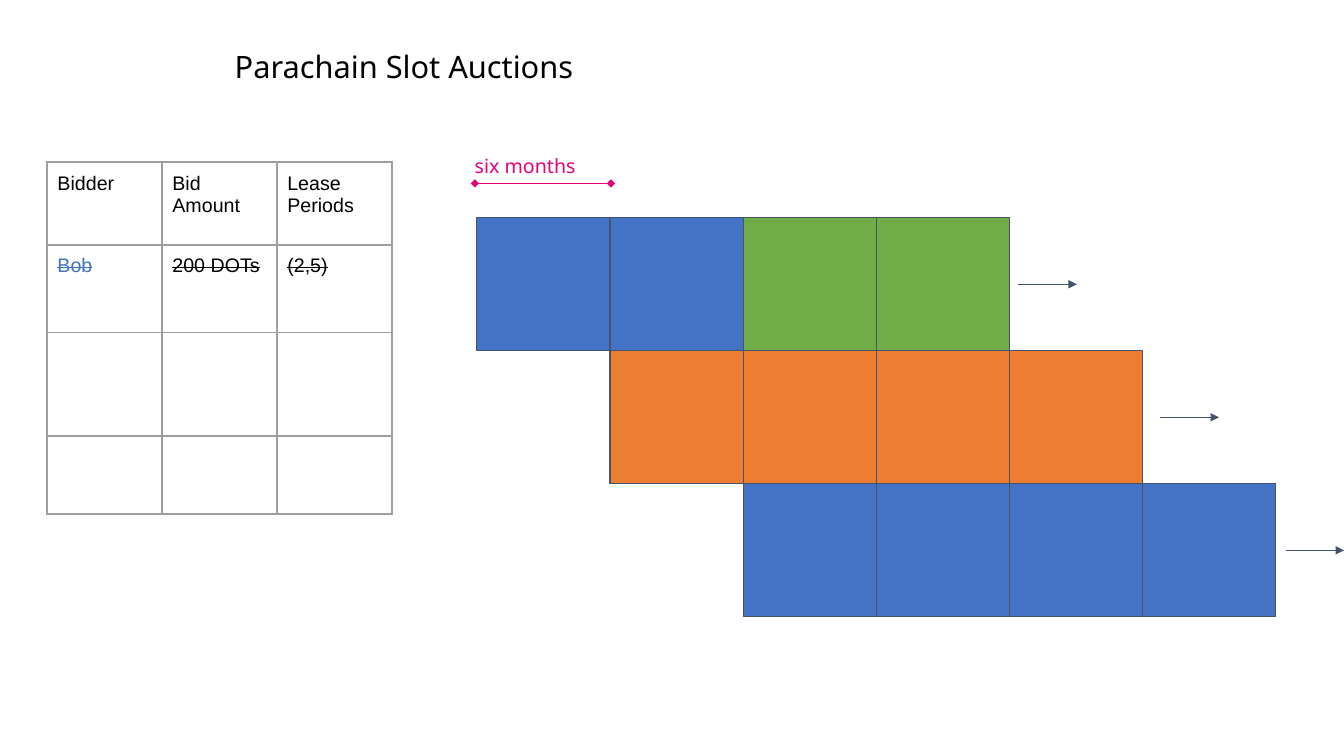
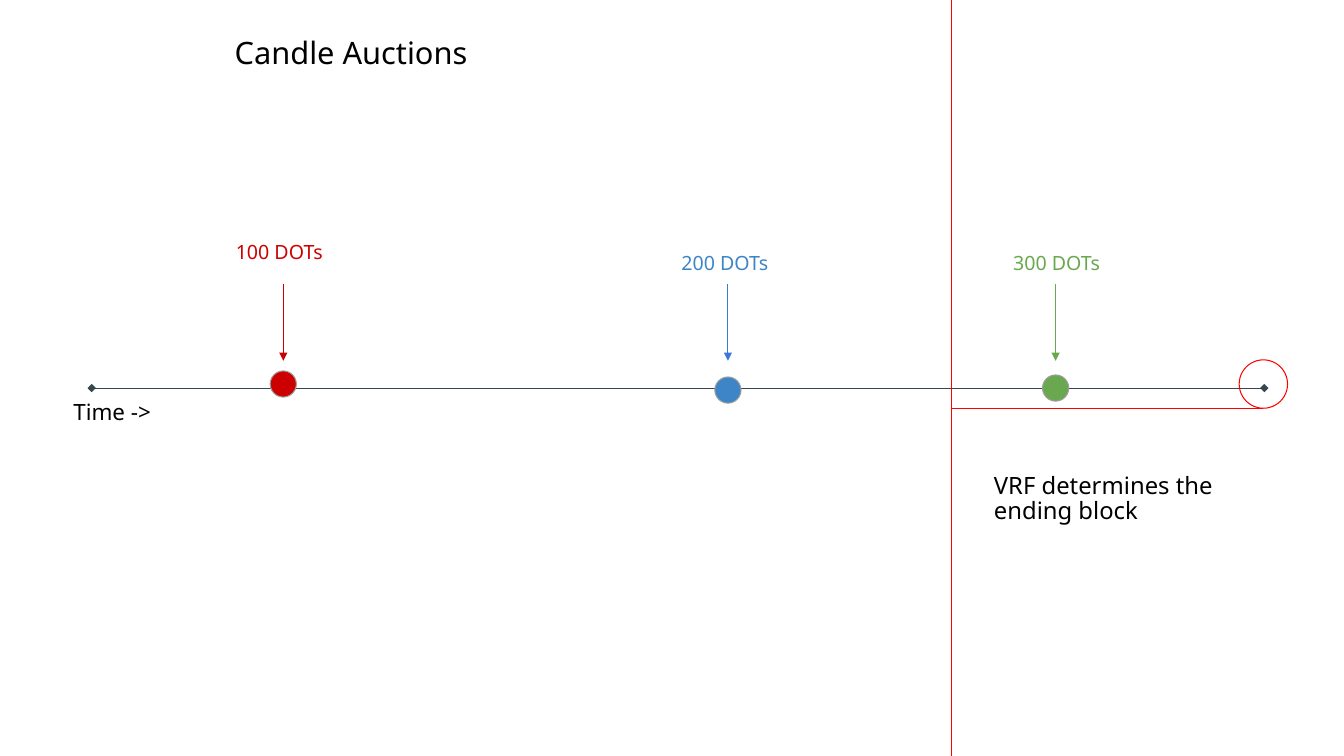
from dataclasses import dataclass
from typing import Optional

from lxml.etree import SubElement
from pptx import Presentation
from pptx.dml.color import RGBColor
from pptx.enum.shapes import MSO_CONNECTOR as CONN, MSO_SHAPE as SHAPE
from pptx.oxml.ns import qn
from pptx.slide import Slide
from pptx.util import Emu, Pt

EMU_PER_PX = 9144
COLORS = {
    "black": "000000",
    "blue": "4472C4",
    "green": "70AD47",
    "orange": "ED7D31",
    "slate": "44546A",
    "pink": "E6007A",
    "grid": "9E9E9E",
    "axis": "37474F",
    "bid_red": "CC0000",
    "bid_blue": "3D85C6",
    "arrow_blue": "3C78D8",
    "bid_green": "6AA84F",
    "alert": "FF0000",
}
TITLE_FMT = {"size": Pt(22), "name": "Noto Sans"}
LABEL_FMT = {"size": Pt(14), "name": "Noto Sans"}
AXIS_FMT = {"size": Pt(16), "name": "Noto Sans"}
NOTE_FMT = {"size": Pt(17), "name": "Noto Sans"}
CELL_FMT = {"size": Pt(14), "name": "Arial"}
SLOT = 132


@dataclass
class Lease:
    x: int
    y: int
    fills: tuple[str, ...]
    arrow_x: int


@dataclass
class Bid:
    text: str
    x: int
    label_x: int
    label_y: int
    dot_y: int
    color: str
    arrow: str


LEASES = (
    Lease(473, 216, ("blue", "blue", "green", "green"), 1010),
    Lease(605, 348, ("orange",) * 4, 1151),
    Lease(737, 480, ("blue",) * 4, 1275),
)
BIDS = (
    Bid("100 DOTs", 281, 224, 228, 368, "bid_red", "bid_red"),
    Bid("200 DOTs", 722, 666, 239, 374, "bid_blue", "arrow_blue"),
    Bid("300 DOTs", 1047, 995, 239, 372, "bid_green", "bid_green"),
)
BID_ROWS = (
    ("Bidder", "Bid Amount", "Lease Periods"),
    ("Bob", "200 DOTs", "(2,5)"),
    ("", "", ""),
    ("", "", ""),
)
ROW_HEIGHTS = (82, 87, 103, 77)
COL_WIDTH = 114


def px(n: int) -> Emu:
    return Emu(n * EMU_PER_PX)


def rgb(color: str) -> RGBColor:
    return RGBColor.from_string(COLORS[color])


def set_font(font, fmt: dict, color: str) -> None:
    for key, value in fmt.items():
        setattr(font, key, value)
    font.color.rgb = rgb(color)


def add_text(s: Slide, text: str, x: int, y: int, w: int, h: int, fmt: dict,
             color: str = "black", inset: int = 10, spacing: float = 1.0) -> None:
    tf = s.shapes.add_textbox(px(x), px(y), px(w), px(h)).text_frame
    margins = {"margin_left": 10, "margin_right": 10,
               "margin_top": inset, "margin_bottom": inset}
    for key, value in margins.items():
        setattr(tf, key, px(value))
    tf.word_wrap = True
    p = tf.paragraphs[0]
    p.line_spacing = spacing
    r = p.add_run()
    r.text = text
    set_font(r.font, fmt, color)


def add_title(s: Slide, text: str, y: int) -> None:
    add_text(s, text, 223, y, 543, 49, TITLE_FMT, inset=5, spacing=0.9)


def add_shape(s: Slide, kind: SHAPE, x: int, y: int, size: int,
              fill: Optional[str], line: str) -> None:
    sp = s.shapes.add_shape(kind, px(x), px(y), px(size), px(size))
    sp.shadow.inherit = False
    if fill:
        sp.fill.solid()
        sp.fill.fore_color.rgb = rgb(fill)
    else:
        sp.fill.background()
    sp.line.color.rgb = rgb(line)
    sp.line.width = Pt(0.75)


def add_line(s: Slide, x1: int, y1: int, x2: int, y2: int, color: str,
             head: Optional[str] = None, tail: Optional[str] = None) -> None:
    c = s.shapes.add_connector(CONN.STRAIGHT, px(x1), px(y1), px(x2), px(y2))
    c.line.color.rgb = rgb(color)
    c.line.width = Pt(0.75)
    ln = c.line._get_or_add_ln()
    for tag, end in (("a:headEnd", head), ("a:tailEnd", tail)):
        if end:
            SubElement(ln, qn(tag), type=end)
    SubElement(c._element.spPr, qn("a:effectLst"))


def add_borders(cell, color: str) -> None:
    tc_pr = cell._tc.get_or_add_tcPr()
    for i, side in enumerate(("a:lnL", "a:lnR", "a:lnT", "a:lnB")):
        ln = SubElement(tc_pr, qn(side), w=str(Pt(1.5)))
        tc_pr.insert(i, ln)
        fill = SubElement(ln, qn("a:solidFill"))
        SubElement(fill, qn("a:srgbClr"), val=COLORS[color])


def add_bid_table(s: Slide, x: int, y: int) -> None:
    n_cols = len(BID_ROWS[0])
    table = s.shapes.add_table(len(BID_ROWS), n_cols, px(x), px(y),
                               px(COL_WIDTH * n_cols), px(sum(ROW_HEIGHTS))).table
    table.first_row = table.horz_banding = False
    for col in table.columns:
        col.width = px(COL_WIDTH)
    for i, (texts, height) in enumerate(zip(BID_ROWS, ROW_HEIGHTS)):
        table.rows[i].height = px(height)
        for j, text in enumerate(texts):
            cell = table.cell(i, j)
            cell.fill.background()
            add_borders(cell, "grid")
            for side in ("left", "right", "top", "bottom"):
                setattr(cell, f"margin_{side}", px(10))
            if text:
                r = cell.text_frame.paragraphs[0].add_run()
                r.text = text
                set_font(r.font, CELL_FMT, "blue" if text == "Bob" else "black")
                if i == 1:
                    r._r.get_or_add_rPr().set("strike", "sngStrike")


def build_slot_auctions(s: Slide) -> None:
    add_title(s, "Parachain Slot Auctions", 47)
    for lease in LEASES:
        for i, fill in enumerate(lease.fills):
            add_shape(s, SHAPE.RECTANGLE, lease.x + i * SLOT, lease.y, SLOT, fill, "slate")
        mid = lease.y + SLOT // 2
        add_line(s, lease.arrow_x, mid, lease.arrow_x + 58, mid, "slate", tail="triangle")
    add_line(s, 471, 182, 606, 182, "pink", "diamond", "diamond")
    add_text(s, "six months", 461, 143, 233, 44, LABEL_FMT, "pink")
    add_bid_table(s, 47, 161)


def build_candle_auctions(s: Slide) -> None:
    add_title(s, "Candle Auctions", 33)
    add_line(s, 91, 385, 1254, 385, "axis", "diamond", "diamond")
    for bid in BIDS:
        add_line(s, bid.x, 282, bid.x, 358, bid.arrow, tail="triangle")
        add_text(s, bid.text, bid.label_x, bid.label_y, 186, 44, LABEL_FMT, bid.color)
        add_shape(s, SHAPE.OVAL, bid.x - 13, bid.dot_y, 26, bid.color, "grid")
    add_text(s, "Time ->", 63, 385, 145, 55, AXIS_FMT)
    add_shape(s, SHAPE.OVAL, 1229, 357, 48, None, "alert")
    add_line(s, 1253, 405, 944, 405, "alert")
    add_line(s, 944, 750, 944, 0, "alert")
    add_text(s, "VRF determines the ending block", 976, 460, 287, 76, NOTE_FMT, spacing=0.9)


def main() -> None:
    prs = Presentation()
    prs.slide_width, prs.slide_height = px(1333), px(750)
    for build in (build_slot_auctions, build_candle_auctions):
        build(prs.slides.add_slide(prs.slide_layouts[6]))
    prs.save("out.pptx")


if __name__ == "__main__":
    main()
